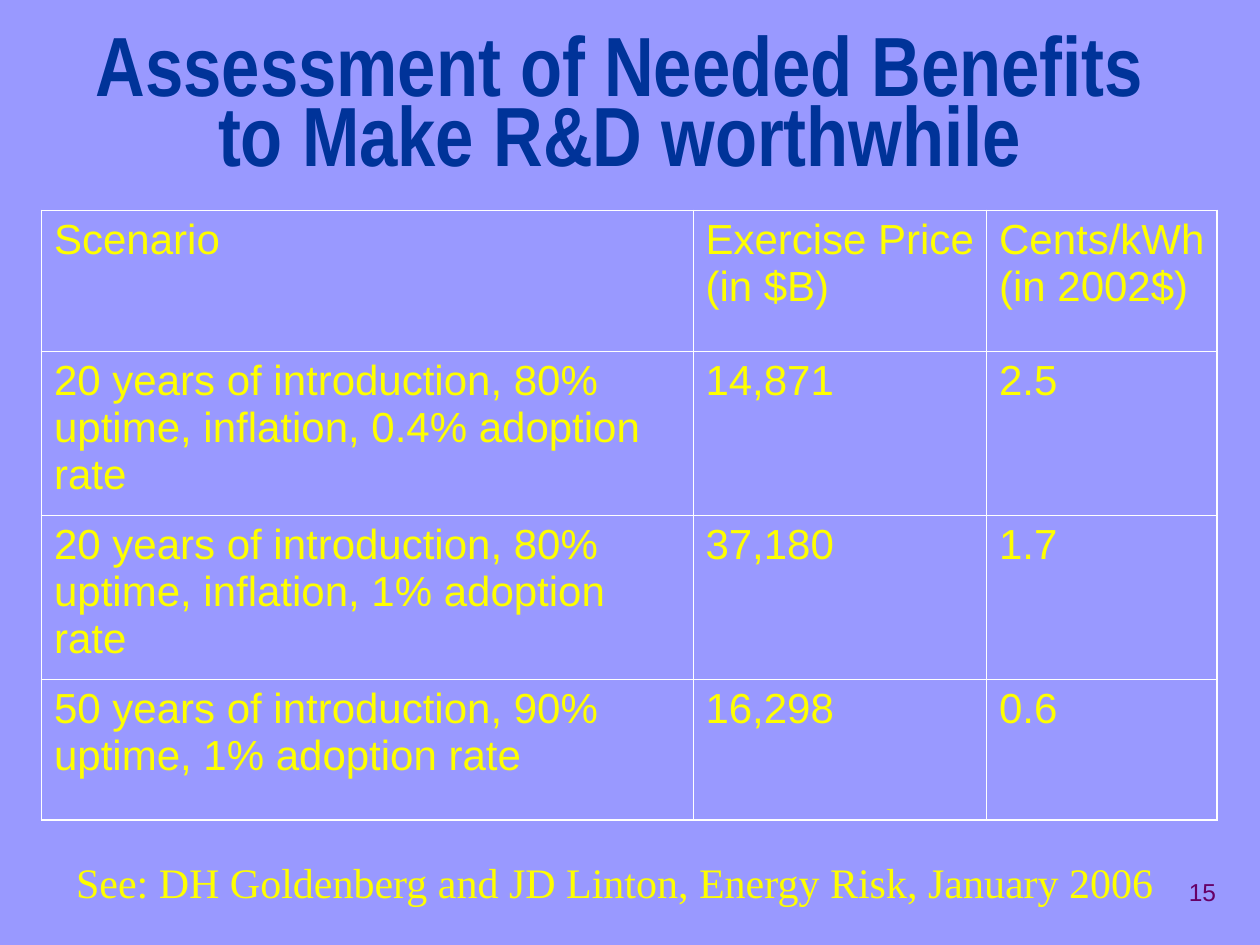
from lxml import etree
from pptx import Presentation
from pptx.dml.color import RGBColor
from pptx.enum.text import MSO_ANCHOR, PP_ALIGN
from pptx.oxml.ns import qn
from pptx.util import Inches, Pt

CENTER, RIGHT, LEFT = PP_ALIGN.CENTER, PP_ALIGN.RIGHT, PP_ALIGN.LEFT
TOP, MIDDLE = MSO_ANCHOR.TOP, MSO_ANCHOR.MIDDLE
BLANK = 6

BACKGROUND, NAVY, YELLOW, WHITE, PURPLE = "9999FF", "003399", "FFFF00", "FFFFFF", "660066"
TITLE_FONT = {"name": "Arial Narrow", "size": Pt(48), "bold": True}
CELL_FONT = {"name": "Arial", "size": Pt(24)}
SOURCE_FONT = {"name": "Times New Roman", "size": Pt(24)}
NUMBER_FONT = {"name": "Arial", "size": Pt(14)}
OUTER, INNER = Pt(1.08), Pt(0.45)

COLUMN_WIDTHS = [5.17, 2.33, 1.83]
ROW_HEIGHTS = [1.12, 1.3, 1.3, 1.12]
SCENARIOS = [
    ["Scenario", "Exercise Price (in $B)", "Cents/kWh (in 2002$)"],
    ["20 years of introduction, 80% uptime, inflation, 0.4% adoption rate", "14,871", "2.5"],
    ["20 years of introduction, 80% uptime, inflation, 1% adoption rate", "37,180", "1.7"],
    ["50 years of introduction, 90% uptime, 1% adoption rate", "16,298", "0.6"],
]


def rgb(color):
    return RGBColor.from_string(color)


def write(tf, text, font, color, align=LEFT, spacing=None):
    p = tf.paragraphs[0]
    p.alignment = align
    p.line_spacing = spacing
    r = p.add_run()
    r.text = text
    for name, value in font.items():
        setattr(r.font, name, value)
    r.font.color.rgb = rgb(color)


def add_text(s, box, text, font, color, align, anchor=TOP, wrap=True, spacing=None):
    tf = s.shapes.add_textbox(*map(Inches, box)).text_frame
    tf.word_wrap = wrap
    tf.vertical_anchor = anchor
    write(tf, text, font, color, align, spacing)


def set_borders(cell, widths):
    """Draw the left, right, top and bottom lines of a cell, in that order."""
    tcPr = cell._tc.get_or_add_tcPr()
    for i, (side, width) in enumerate(zip("LRTB", widths)):
        ln = etree.Element(qn(f"a:ln{side}"), w=str(width))
        fill = etree.SubElement(ln, qn("a:solidFill"))
        etree.SubElement(fill, qn("a:srgbClr"), val=WHITE)
        tcPr.insert(i, ln)


def add_scenario_table(s, left, top):
    n_rows, n_cols = len(ROW_HEIGHTS), len(COLUMN_WIDTHS)
    size = Inches(sum(COLUMN_WIDTHS)), Inches(sum(ROW_HEIGHTS))
    table = s.shapes.add_table(n_rows, n_cols, Inches(left), Inches(top), *size).table
    table.first_row = table.horz_banding = False
    for column, width in zip(table.columns, COLUMN_WIDTHS):
        column.width = Inches(width)
    for row, height in zip(table.rows, ROW_HEIGHTS):
        row.height = Inches(height)

    for i, texts in enumerate(SCENARIOS):
        for j, text in enumerate(texts):
            cell = table.cell(i, j)
            cell.fill.background()
            write(cell.text_frame, text, CELL_FONT, YELLOW)
            # Heavier line around the outside of the table
            on_edge = (j == 0, j == n_cols - 1, i == 0, i == n_rows - 1)
            set_borders(cell, [OUTER if edge else INNER for edge in on_edge])


def main():
    prs = Presentation()
    prs.slide_width, prs.slide_height = Inches(10), Inches(7.5)
    s = prs.slides.add_slide(prs.slide_layouts[BLANK])
    s.background.fill.solid()
    s.background.fill.fore_color.rgb = rgb(BACKGROUND)

    # Title
    add_text(s, (0.42, 0.25, 9, 1.25), "Assessment of Needed Benefits to Make R&D worthwhile",
             TITLE_FONT, NAVY, CENTER, MIDDLE, spacing=0.7)

    # Scenario table
    add_scenario_table(s, 0.33, 1.67)

    # Source line and slide number
    add_text(s, (0.5, 6.75, 8.76, 0.5),
             "See: DH Goldenberg and JD Linton, Energy Risk, January 2006",
             SOURCE_FONT, YELLOW, CENTER, wrap=False)
    add_text(s, (7.67, 6.83, 2.08, 0.5), "15", NUMBER_FONT, PURPLE, RIGHT, MIDDLE)

    prs.save("out.pptx")


if __name__ == "__main__":
    main()
